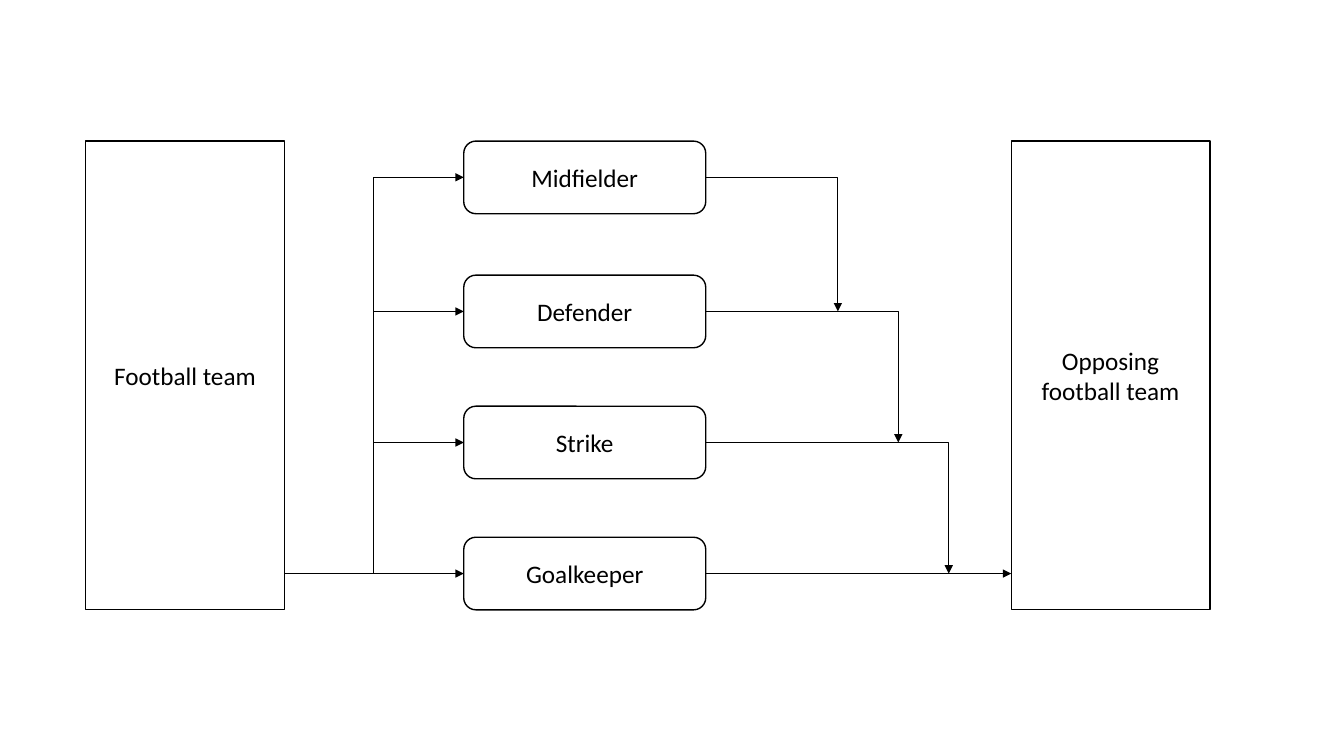
from lxml import etree
from pptx import Presentation
from pptx.dml.color import RGBColor
from pptx.enum.shapes import MSO_CONNECTOR as CONN, MSO_SHAPE as SHAPE
from pptx.enum.text import MSO_ANCHOR as ANCHOR, PP_ALIGN as ALIGN
from pptx.oxml.ns import qn
from pptx.util import Inches, Pt


def color(value):
    return RGBColor.from_string(value)


def write(sp, text, size=18, font="Calibri", ink="000000"):
    tf = sp.text_frame
    tf.word_wrap = True
    tf.vertical_anchor = ANCHOR.MIDDLE
    p = tf.paragraphs[0]
    p.alignment = ALIGN.CENTER
    r = p.add_run()
    r.text = text
    r.font.size = Pt(size)
    r.font.name = font
    r.font.color.rgb = color(ink)


class Diagram:
    ink = "000000"
    paper = "FFFFFF"

    def __init__(self, slide):
        self.shapes = slide.shapes

    def box(self, text, left, top, width, height, kind=SHAPE.RECTANGLE):
        sp = self.shapes.add_shape(
            kind, Inches(left), Inches(top), Inches(width), Inches(height))
        sp.shadow.inherit = False
        sp.fill.solid()
        sp.fill.fore_color.rgb = color(self.paper)
        sp.line.color.rgb = color(self.ink)
        sp.line.width = Pt(1)
        write(sp, text, ink=self.ink)
        return sp

    def arrow(self, start, end, kind=CONN.STRAIGHT):
        c = self.shapes.add_connector(kind, *map(Inches, (*start, *end)))
        c.line.color.rgb = color(self.ink)
        c.line.width = Pt(0.5)
        etree.SubElement(c.line._get_or_add_ln(), qn("a:tailEnd"), type="triangle")
        etree.SubElement(c._element.spPr, qn("a:effectLst"))
        return c

    def elbow(self, start, end):
        c = self.arrow(start, end, CONN.ELBOW)
        c._element.spPr.find(qn("a:prstGeom")).set("prst", "bentConnector2")
        return c

    def rising_elbow(self, start, end):
        (x1, y1), (x2, y2) = start, end
        mid_x, mid_y = (x1 + x2) / 2, (y1 + y2) / 2
        half_w, half_h = (y1 - y2) / 2, (x2 - x1) / 2
        c = self.elbow((mid_x + half_w, mid_y + half_h),
                       (mid_x - half_w, mid_y - half_h))
        c._element.spPr.find(qn("a:xfrm")).set("rot", str(90 * 60000))
        return c


def main():
    prs = Presentation()
    prs.slide_width, prs.slide_height = Inches(13.33), Inches(7.5)
    s = prs.slides.add_slide(prs.slide_layouts[6])
    d = Diagram(s)

    team_left, opponent_left, team_top = 0.85, 10.03, 1.4
    team_w, team_h = 1.97, 4.65
    role_left, role_w, role_h = 4.6, 2.4, 0.72
    role_right = role_left + role_w
    trunk_x = 3.7
    roles = [("Midfielder", 1.4), ("Defender", 2.73),
             ("Strike", 4.03), ("Goalkeeper", 5.33)]
    drop_xs = [8.31, 8.91, 9.41]

    d.box("Football team", team_left, team_top, team_w, team_h)
    d.box("Opposing football team", opponent_left, team_top, team_w, team_h)
    boxes = [d.box(name, role_left, top, role_w, role_h, SHAPE.ROUNDED_RECTANGLE)
             for name, top in roles]
    mids = [top + role_h / 2 for _, top in roles]

    d.rising_elbow((trunk_x, mids[-1]), (role_left, mids[0]))
    starts = [trunk_x, trunk_x, team_left + team_w]
    for sp, y, x in zip(boxes[1:], mids[1:], starts):
        d.arrow((x, y), (role_left, y)).end_connect(sp, 1)

    for x, y, next_y in zip(drop_xs, mids, mids[1:]):
        d.elbow((role_right, y), (x, next_y))
    out = d.arrow((role_right, mids[-1]), (opponent_left, mids[-1]))
    out.begin_connect(boxes[-1], 3)

    prs.save("out.pptx")


if __name__ == "__main__":
    main()
